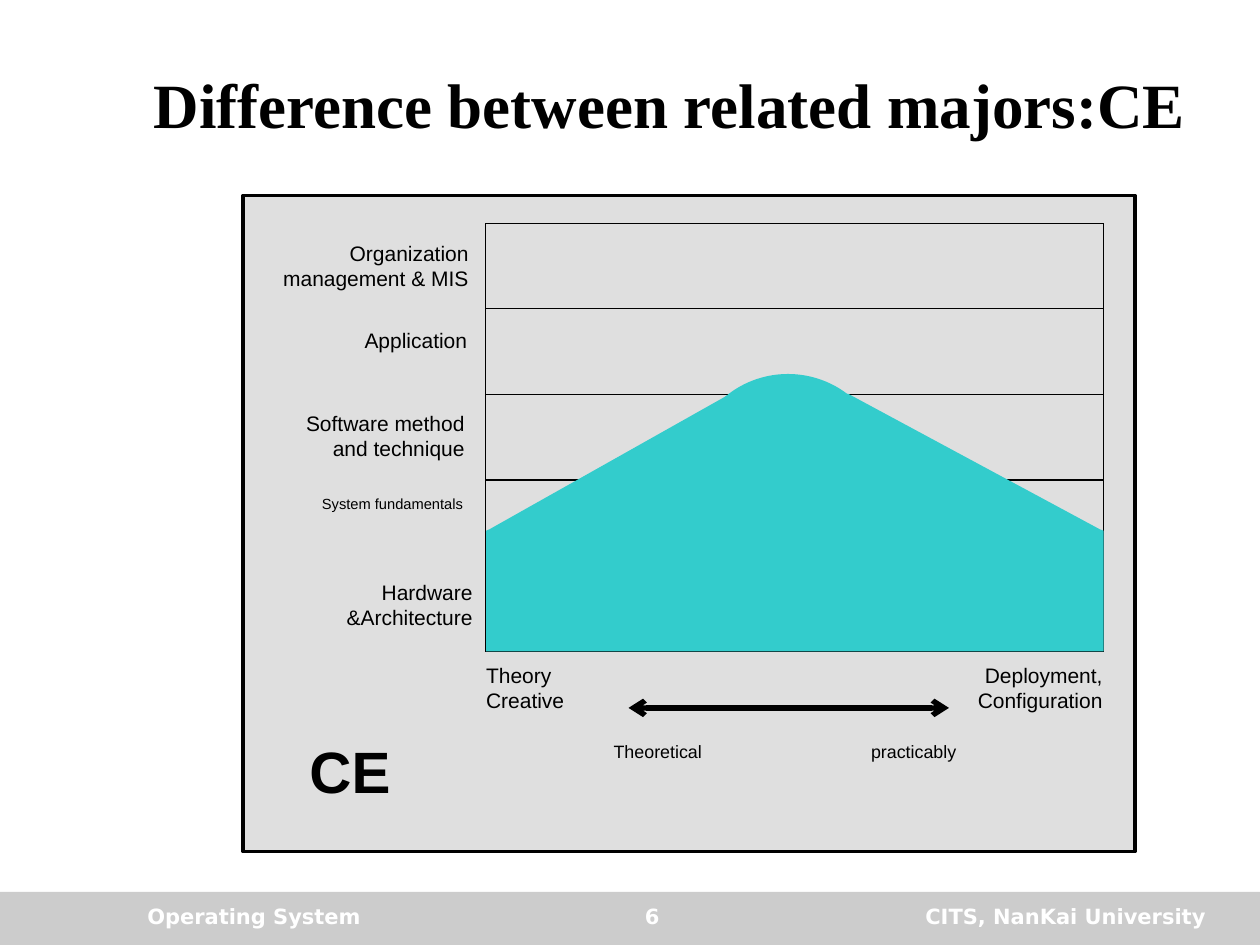
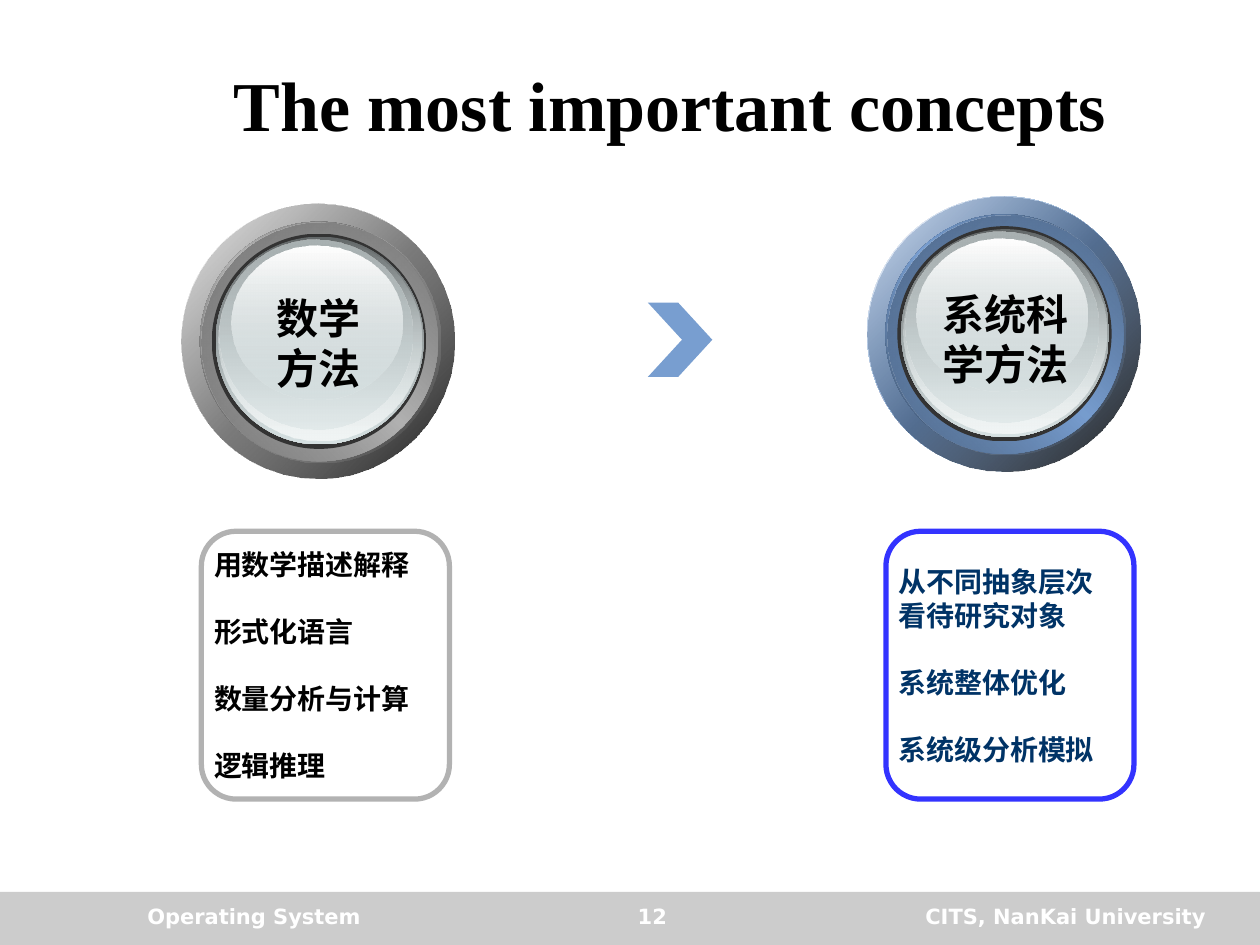
import pptx
import pptx.util
import pptx.dml.color
import pptx.enum.shapes
import pptx.enum.text
import pptx.oxml
import pptx.oxml.ns
from lxml import etree

Cm = pptx.util.Cm
Pt = pptx.util.Pt
SHAPE = pptx.enum.shapes.MSO_SHAPE
ALIGN = {
    "left": pptx.enum.text.PP_ALIGN.LEFT,
    "center": pptx.enum.text.PP_ALIGN.CENTER,
    "right": pptx.enum.text.PP_ALIGN.RIGHT,
}
ANCHOR = pptx.enum.text.MSO_ANCHOR

COLORS = {
    "black": "000000", "white": "FFFFFF", "band": "CCCCCC", "panel": "C0C0C0",
    "mountain": "33CCCC", "chevron": "789ED0", "gray": "B2B2B2",
    "blue": "3333FF", "navy": "003366", "rim": "333333",
    "glass": "D6E1E2", "glass dark": "636869", "glass mid": "AAB2B3", "glass light": "F1F5F5",
    "blue ring": "415671", "blue edge": "4C6484",
    "gray ring": "606060", "gray edge": "717171",
}
CJK = "Noto Sans CJK SC"
SLIDE_SIZE = (25.4, 19.05)
TITLE_BOX = (2.69, 0.84, 21.62, 2.49)
BAND_BOX = (0, 17.98, 25.4, 1.07)
FOOTER_TOP, FOOTER_HEIGHT = 18.08, 0.84
COURSE, SCHOOL = "Operating System", "CITS, NanKai University"

MAJORS = {"title": "Difference between related majors:CE", "size": 36, "number": "6"}
PANEL_BOX = (4.9, 3.94, 17.98, 13.23)
GRID_LEFT, GRID_RIGHT, GRID_TOP, GRID_BOTTOM, GRID_ROWS = 9.78, 22.25, 4.5, 13.13, 5
AREA_LABELS = [
    (["Organization management & MIS"], (4.9, 4.72, 4.8, 1.55), {}),
    (["Application"], (6.22, 6.48, 3.45, 1.22), {}),
    (["Software method and technique"], (5.33, 8.15, 4.29, 1.63), {}),
    (["System fundamentals"], (6.22, 9.91, 3.37, 1.02), {"size": 8.4, "spacing": 0.8}),
    (["Hardware", "&Architecture"], (5.33, 11.56, 4.45, 1.52), {}),
    (["Deployment,Configuration"], (19.3, 13.23, 3.18, 1.52), {}),
    (["practicably"], (16.08, 14.86, 3.45, 0.71), {"size": 10.2, "spacing": 0.9}),
    (["Theoretical"], (12.12, 14.86, 3.89, 0.71), {"size": 10.2, "spacing": 0.9, "align": "left"}),
    (["Theory", "Creative"], (9.55, 13.23, 2.9, 1.73), {"align": "left"}),
    (["CE"], (5.99, 14.86, 2.67, 1.73),
     {"size": 33.3, "spacing": 0.9, "bold": True, "align": "left"}),
]
MOUNTAIN = [(9.8, 13.13), (9.8, 10.7), (9.87, 10.67), (14.72, 7.94), (17.1, 7.94),
            (22.17, 10.67), (22.25, 10.7), (22.25, 13.13)]
PEAK_BOX = (13.94, 7.54, 3.89, 3.81)
ARROW_ENDS = (12.67, 14.27, 19.13, 14.27)

CONCEPTS = {"title": "The most important concepts", "size": 40, "number": "12"}
CHEVRON_BOX = (13.06, 6.1, 1.3, 1.5)
METHODS = [
    {"name": ["数学", "方法"], "badge": (3.66, 4.11), "name box": (5.33, 5.77, 2.18, 2.29),
     "tone": "gray", "ring": "gray ring", "edge": "gray edge",
     "points": ["用数学描述解释", "形式化语言", "数量分析与计算", "逻辑推理"],
     "card": (4.06, 10.71, 5.0, 5.4), "border": "gray", "ink": "black"},
    {"name": ["系统科", "学方法"], "badge": (17.48, 3.96), "name box": (18.75, 5.69, 3.12, 2.29),
     "tone": "chevron", "ring": "blue ring", "edge": "blue edge",
     "points": ["从不同抽象层次看待研究对象", "系统整体优化", "系统级分析模拟"],
     "card": (17.86, 10.71, 5.0, 5.4), "border": "blue", "ink": "navy"},
]


def badge_layers(tone, ring, edge):
    return [
        ((0, 0, 5.51, 5.54), 45, [(0, "white", 100), (50, tone, 100), (100, "white", 100)]),
        ((0, 0, 5.51, 5.54), 45, [(0, tone, 32), (100, "black", 90)]),
        ((0.37, 0.36, 4.8, 4.83), 315, [(0, ring, 100), (50, tone, 100), (100, ring, 100)]),
        ((0.41, 0.38, 4.8, 4.83), 45, [(0, edge, 100), (100, tone, 0)]),
        ((0.61, 0.6, 4.32, 4.34), 0, [(0, "rim", 100), (100, "rim", 100)]),
        ((0.69, 0.66, 4.19, 4.19), 90, [(0, "glass dark", 100), (100, "glass", 100)]),
        ((0.74, 0.69, 4.09, 4.09), 90, [(0, "glass", 0), (100, "glass light", 100)]),
        ((0.77, 0.71, 3.89, 3.84), 90, [(0, "glass mid", 100), (100, "glass", 48)]),
        ((1.0, 0.84, 3.45, 3.1), 90, [(0, "white", 100), (100, "glass", 38)]),
    ]


def rgb(color):
    return pptx.dml.color.RGBColor.from_string(COLORS[color])


def lengths(box):
    return [Cm(value) for value in box]


def write(frame, lines, size=12, font="Arial", color="black", bold=False, align="left",
          spacing=None, gap=0, anchor=ANCHOR.TOP, wrap=True, east_asian=None):
    frame.word_wrap = wrap
    frame.auto_size = pptx.enum.text.MSO_AUTO_SIZE.NONE
    frame.vertical_anchor = anchor
    for index, line in enumerate(lines):
        paragraph = frame.paragraphs[0] if index == 0 else frame.add_paragraph()
        paragraph.alignment = ALIGN[align]
        if spacing:
            paragraph.line_spacing = spacing
        if index and gap:
            paragraph.space_before = Pt(gap)
        run = paragraph.add_run()
        run.text = line
        run.font.size, run.font.name, run.font.bold = Pt(size), font, bold
        run.font.color.rgb = rgb(color)
        if east_asian:
            latin = run.font._element.find(pptx.oxml.ns.qn("a:latin"))
            ea = etree.Element(pptx.oxml.ns.qn("a:ea"), typeface=east_asian)
            latin.addnext(ea)


def add_text(slide, box, lines, **style):
    write(slide.shapes.add_textbox(*lengths(box)).text_frame, lines, **style)


def finish(shape, fill=None, line=None, width=0):
    shape.shadow.inherit = False
    if fill:
        shape.fill.solid()
        shape.fill.fore_color.rgb = rgb(fill)
    else:
        shape.fill.background()
    if line:
        shape.line.color.rgb = rgb(line)
        shape.line.width = Pt(width)
    else:
        shape.line.fill.background()
    return shape


def add_part(slide, kind, box, **look):
    return finish(slide.shapes.add_shape(kind, *lengths(box)), **look)


def set_alpha(color_element, percent):
    etree.SubElement(color_element, pptx.oxml.ns.qn("a:alpha"), val=str(percent * 1000))


def set_gradient(shape, angle, stops):
    shape.fill.gradient()
    gradient = shape._element.spPr.find(pptx.oxml.ns.qn("a:gradFill"))
    stop_list = gradient.find(pptx.oxml.ns.qn("a:gsLst"))
    for old_stop in list(stop_list):
        stop_list.remove(old_stop)
    for position, color, alpha in stops:
        stop = etree.SubElement(stop_list, pptx.oxml.ns.qn("a:gs"), pos=str(position * 1000))
        tint = etree.SubElement(stop, pptx.oxml.ns.qn("a:srgbClr"), val=COLORS[color])
        if alpha < 100:
            set_alpha(tint, alpha)
    gradient.find(pptx.oxml.ns.qn("a:lin")).set("ang", str(angle * 60000))


def add_line(slide, ends, width=0.75, arrows=False):
    line = slide.shapes.add_connector(pptx.enum.shapes.MSO_CONNECTOR.STRAIGHT, *lengths(ends))
    line.line.color.rgb = rgb("black")
    line.line.width = Pt(width)
    if arrows:
        for end in ("a:headEnd", "a:tailEnd"):
            etree.SubElement(line.line._get_or_add_ln(), pptx.oxml.ns.qn(end), type="arrow")
    etree.SubElement(line._element.spPr, pptx.oxml.ns.qn("a:effectLst"))


def add_slide(deck, topic):
    slide = deck.slides.add_slide(deck.slide_layouts[5])
    title = slide.shapes.title
    title.left, title.top, title.width, title.height = lengths(TITLE_BOX)
    write(title.text_frame, [topic["title"]], size=topic["size"], font="Times New Roman",
          bold=True, align="center", anchor=ANCHOR.MIDDLE)
    add_part(slide, SHAPE.RECTANGLE, BAND_BOX, fill="band")
    for text, left, width, align in [(COURSE, 2.72, 6.99, "left"),
                                     (topic["number"], 10.19, 5.92, "center"),
                                     (SCHOOL, 16.51, 8.05, "right")]:
        add_text(slide, (left, FOOTER_TOP, width, FOOTER_HEIGHT), [text],
                 font="DejaVu Sans", color="white", bold=True, align=align)
    return slide


def build_majors(deck):
    slide = add_slide(deck, MAJORS)
    panel = add_part(slide, SHAPE.RECTANGLE, PANEL_BOX, fill="panel", line="black", width=2)
    set_alpha(panel._element.spPr.find(".//" + pptx.oxml.ns.qn("a:srgbClr")), 50)
    row_height = (GRID_BOTTOM - GRID_TOP) / GRID_ROWS
    for row in range(GRID_ROWS + 1):
        y = GRID_TOP + row * row_height
        add_line(slide, (GRID_LEFT, y, GRID_RIGHT, y))
    for x in (GRID_LEFT, GRID_RIGHT):
        add_line(slide, (x, GRID_TOP, x, GRID_BOTTOM))
    for lines, box, style in AREA_LABELS:
        add_text(slide, box, lines, **{"align": "right", **style})
    add_line(slide, ARROW_ENDS, width=3, arrows=True)
    corners = [lengths(corner) for corner in MOUNTAIN]
    outline = slide.shapes.build_freeform(*corners[0])
    outline.add_line_segments(corners[1:], close=True)
    finish(outline.convert_to_shape(), fill="mountain")
    add_part(slide, SHAPE.OVAL, PEAK_BOX, fill="mountain")


def build_concepts(deck):
    slide = add_slide(deck, CONCEPTS)
    chevron = add_part(slide, SHAPE.CHEVRON, CHEVRON_BOX, fill="chevron")
    chevron.adjustments[0] = 0.53
    for method in METHODS:
        left, top = method["badge"]
        for (dx, dy, width, height), angle, stops in badge_layers(
                method["tone"], method["ring"], method["edge"]):
            disc = add_part(slide, SHAPE.OVAL, (left + dx, top + dy, width, height))
            set_gradient(disc, angle, stops)
        add_text(slide, method["name box"], method["name"], size=24, bold=True,
                 spacing=Pt(28.6), wrap=False, east_asian=CJK)
        card = add_part(slide, SHAPE.ROUNDED_RECTANGLE, method["card"],
                        line=method["border"], width=3)
        card.adjustments[0] = 0.14
        card.text_frame.margin_left = card.text_frame.margin_right = Cm(0.05)
        write(card.text_frame, method["points"], size=16, font=CJK, color=method["ink"],
              bold=True, spacing=Pt(19.3), gap=19, anchor=ANCHOR.MIDDLE, east_asian=CJK)


def main():
    deck = pptx.Presentation()
    deck.slide_width, deck.slide_height = lengths(SLIDE_SIZE)
    build_majors(deck)
    build_concepts(deck)
    deck.save("out.pptx")


if __name__ == "__main__":
    main()
